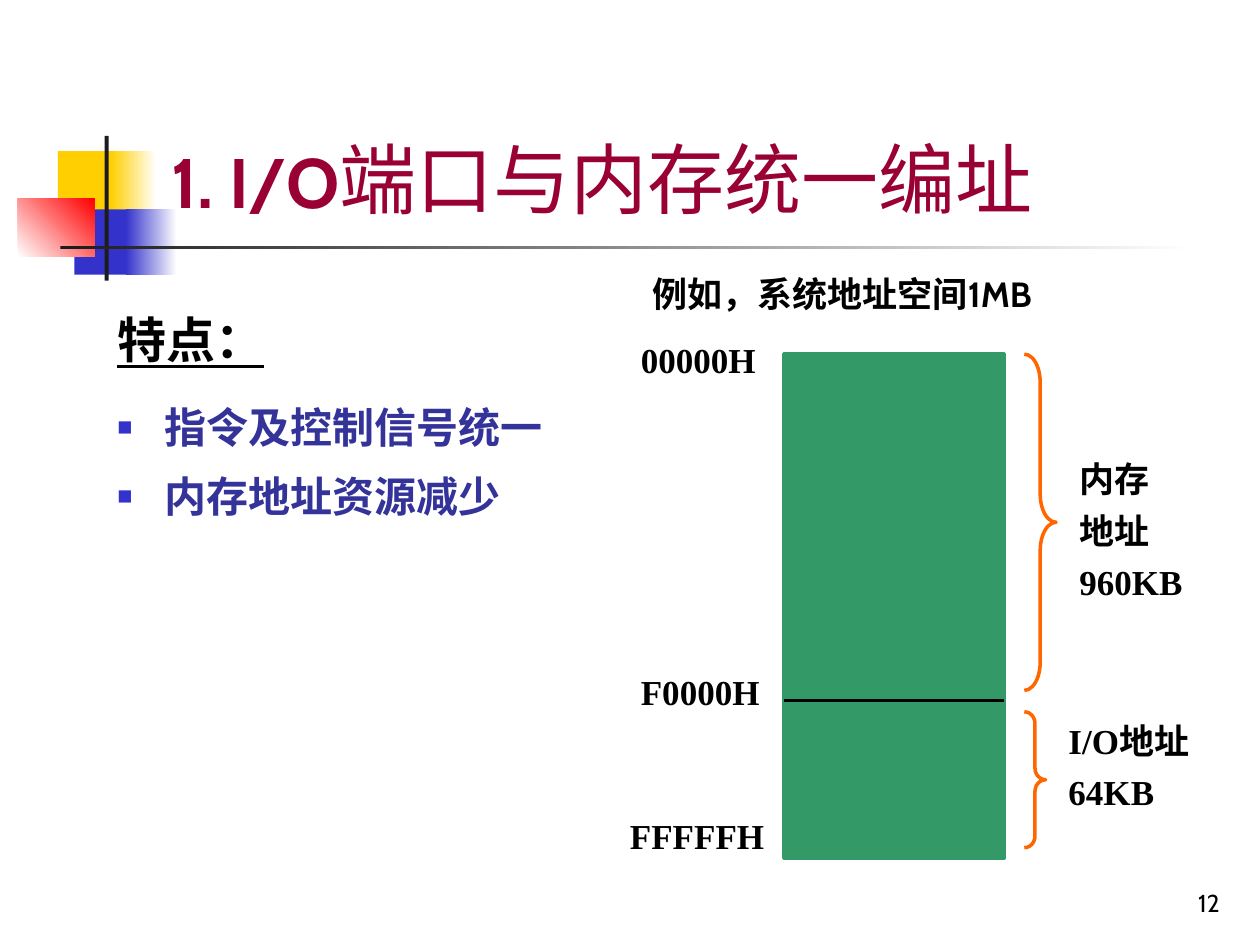
from dataclasses import dataclass
from typing import Optional

from lxml.etree import SubElement
from pptx import Presentation
from pptx.dml.color import RGBColor
from pptx.enum.shapes import MSO_CONNECTOR, MSO_SHAPE
from pptx.enum.text import MSO_ANCHOR, MSO_AUTO_SIZE, PP_ALIGN
from pptx.oxml.ns import qn
from pptx.util import Cm, Pt

BLACK = RGBColor(0x00, 0x00, 0x00)
WHITE = RGBColor(0xFF, 0xFF, 0xFF)
CHARCOAL = RGBColor(0x1C, 0x1C, 0x1C)
YELLOW = RGBColor(0xFF, 0xCF, 0x01)
BLUE = RGBColor(0x33, 0x33, 0xCC)
RED = RGBColor(0xFF, 0x00, 0x00)
CRIMSON = RGBColor(0x99, 0x00, 0x33)
INDIGO = RGBColor(0x33, 0x33, 0x99)
GREEN = RGBColor(0x33, 0x99, 0x66)
ORANGE = RGBColor(0xFF, 0x66, 0x00)
SANS, SERIF = "Cabin", "Times New Roman"


@dataclass
class Area:
    """Left, top, width and height in centimetres."""
    left: float
    top: float
    width: float
    height: float

    def lengths(self) -> tuple:
        return Cm(self.left), Cm(self.top), Cm(self.width), Cm(self.height)


@dataclass
class Block:
    area: Area
    start: RGBColor
    end: Optional[RGBColor] = None
    angle: int = 0


@dataclass
class Label:
    area: Area
    lines: list
    font: str = SERIF
    size: int = 20
    bold: bool = True
    tight: bool = True
    align: PP_ALIGN = PP_ALIGN.LEFT
    anchor: MSO_ANCHOR = MSO_ANCHOR.TOP


@dataclass
class Brace:
    area: Area
    curl: float


def add_block(page, block: Block):
    shape = page.shapes.add_shape(MSO_SHAPE.RECTANGLE, *block.area.lengths())
    shape.shadow.inherit = False
    shape.line.fill.background()
    if block.end is None:
        shape.fill.solid()
        shape.fill.fore_color.rgb = block.start
    else:
        shape.fill.gradient()
        shape.fill.gradient_angle = block.angle
        for stop, color, position in zip(shape.fill.gradient_stops, (block.start, block.end), (0, 1)):
            stop.color.rgb = color
            stop.position = position
    return shape


def add_brace(page, brace: Brace) -> None:
    shape = page.shapes.add_shape(MSO_SHAPE.RIGHT_BRACE, *brace.area.lengths())
    shape.shadow.inherit = False
    shape.adjustments[0] = brace.curl
    shape.fill.background()
    shape.line.color.rgb = ORANGE
    shape.line.width = Pt(2)


def add_span(para, text: str, font: str, size: int, color: RGBColor, bold: bool, underline: bool = False) -> None:
    span = para.add_run()
    span.text = text
    span.font.name = font
    span.font.size = Pt(size)
    span.font.color.rgb = color
    span.font.bold = bold
    if underline:
        span.font.underline = True


def paragraph_at(frame, index: int):
    return frame.paragraphs[0] if index == 0 else frame.add_paragraph()


def add_label(page, label: Label) -> None:
    frame = page.shapes.add_textbox(*label.area.lengths()).text_frame
    frame.word_wrap = True
    frame.vertical_anchor = label.anchor
    for index, text in enumerate(label.lines):
        para = paragraph_at(frame, index)
        para.alignment = label.align
        if label.tight:
            para.line_spacing = 0.8
            para.space_before = Pt(label.size * 0.5)
        add_span(para, text, label.font, label.size, BLACK, label.bold)


def place(box, area: Area, anchor: MSO_ANCHOR):
    """Move a placeholder and bring it in front of the decoration."""
    box.left, box.top, box.width, box.height = area.lengths()
    box.element.getparent().append(box.element)
    box.text_frame.auto_size = MSO_AUTO_SIZE.NONE
    box.text_frame.vertical_anchor = anchor
    return box.text_frame


def set_bullet(para, square: bool) -> None:
    properties = para._p.get_or_add_pPr()
    properties.set("marL", str(Cm(0.95)))
    properties.set("indent", str(-Cm(0.95)))
    if not square:
        SubElement(properties, qn("a:buNone"))
        return
    color = SubElement(properties, qn("a:buClr"))
    SubElement(color, qn("a:srgbClr"), val=str(BLUE))
    SubElement(properties, qn("a:buSzPct"), val="60000")
    SubElement(properties, qn("a:buChar"), char="■")


DECORATION = [
    Block(Area(1.17, 3.05, 1.22, 1.32), YELLOW),
    Block(Area(2.24, 3.05, 0.91, 1.32), YELLOW, WHITE),
    Block(Area(1.5, 4.22, 1.17, 1.32), BLUE),
    Block(Area(2.54, 4.22, 1.02, 1.32), BLUE, WHITE),
    Block(Area(0.36, 4.01, 1.55, 1.17), WHITE, RED, 45),
    Block(Area(2.11, 2.74, 0.08, 2.92), CHARCOAL),
    Block(Area(1.22, 4.95, 22.86, 0.08), CHARCOAL, WHITE),
]
MEMORY = Area(15.8, 7.14, 4.44, 10.16)
DIVIDER_TOP = 14.12
BRACES = [
    Brace(Area(20.65, MEMORY.top, 0.64, 6.78), 0.888),
    Brace(Area(20.65, 14.35, 0.43, 2.74), 0.541),
]
LABELS = [
    Label(Area(21.51, 9.27, 3, 3.15), ["内存", "地址", "960KB"]),
    Label(Area(21.29, 14.55, 3.61, 2.03), ["I/O地址", "64KB"]),
    Label(Area(12.67, 6.86, 3.4, 0.94), ["00000H"]),
    Label(Area(12.67, 13.56, 3.63, 0.94), ["F0000H"]),
    Label(Area(12.45, 16.46, 4.04, 0.94), ["FFFFFH"]),
    Label(Area(12.9, 5.36, 9.19, 1.12), ["例如，系统地址空间1MB"], font=SANS, tight=False),
    Label(Area(19.56, 17.35, 5.28, 1.27), ["12"], font=SANS, size=14, bold=False, tight=False,
          align=PP_ALIGN.RIGHT, anchor=MSO_ANCHOR.BOTTOM),
]


def main() -> None:
    deck = Presentation()
    deck.slide_width, deck.slide_height = Cm(25.4), Cm(19.05)
    page = deck.slides.add_slide(deck.slide_layouts[1])

    # Coloured squares and rules beside the title
    for block in DECORATION:
        add_block(page, block)

    # Title
    frame = place(page.shapes.title, Area(3.2, 0.58, 21.64, 4.06), MSO_ANCHOR.BOTTOM)
    para = frame.paragraphs[0]
    para.alignment = PP_ALIGN.LEFT
    add_span(para, "1. I/O", SANS, 40, CRIMSON, True)
    add_span(para, "端口与内存统一编址", SANS, 44, CRIMSON, False)

    # Features
    frame = place(page.placeholders[1], Area(2.11, 6.12, 10.01, 11), MSO_ANCHOR.TOP)
    for index, text in enumerate(["特点：", "指令及控制信号统一", "内存地址资源减少"]):
        para = paragraph_at(frame, index)
        heading = index == 0
        size = 28 if heading else 24
        para.space_before = Pt(size * 0.2)
        if heading:
            para.space_after = Pt(size * 0.3)
        else:
            para.line_spacing = 1.2
        set_bullet(para, square=not heading)
        add_span(para, text, SANS, size, BLACK if heading else INDIGO, True, heading)

    # Memory map
    memory = add_block(page, Block(MEMORY, GREEN))
    memory.line.color.rgb = GREEN
    memory.line.width = Pt(2)
    divider = page.shapes.add_connector(
        MSO_CONNECTOR.STRAIGHT, Cm(MEMORY.left), Cm(DIVIDER_TOP),
        Cm(MEMORY.left + MEMORY.width), Cm(DIVIDER_TOP))
    divider.line.color.rgb = BLACK
    divider.line.width = Pt(2)
    SubElement(divider._element.spPr, qn("a:effectLst"))
    for brace in BRACES:
        add_brace(page, brace)

    # Addresses, sizes, caption and page number
    for label in LABELS:
        add_label(page, label)

    deck.save("out.pptx")


if __name__ == "__main__":
    main()
